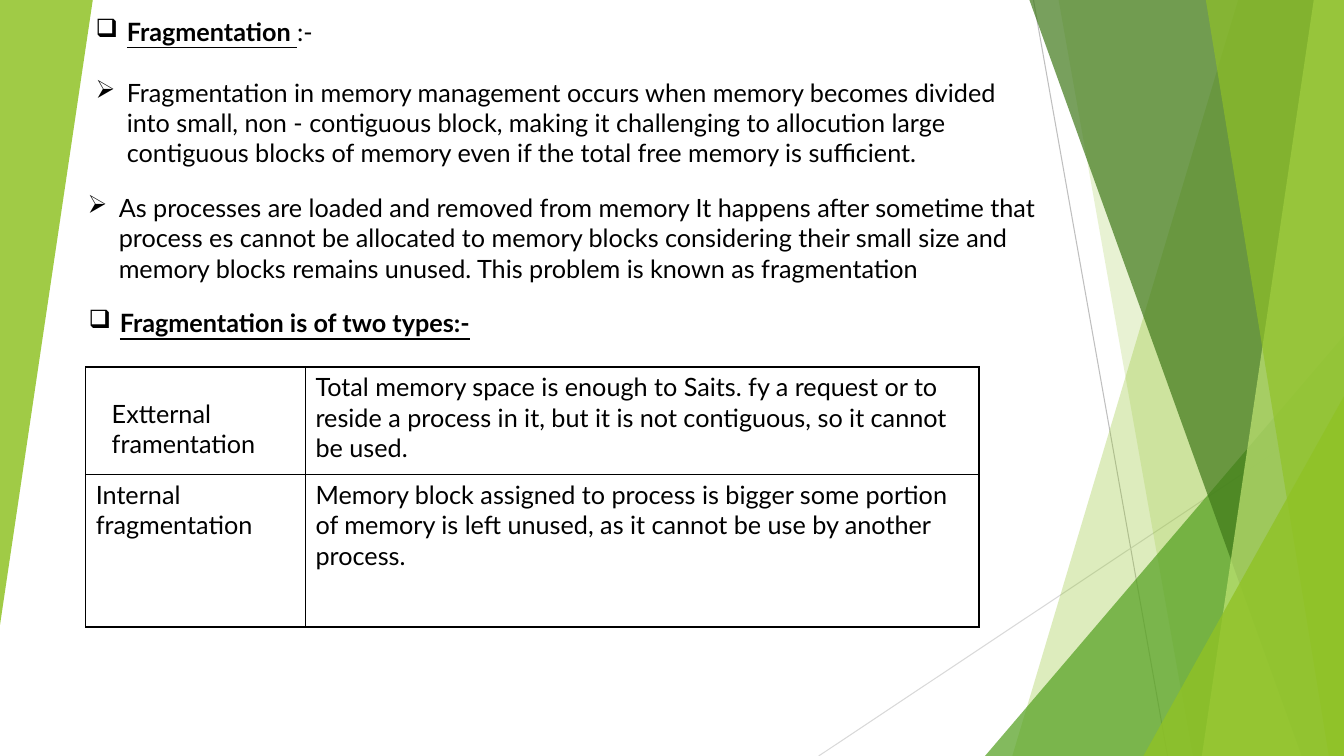
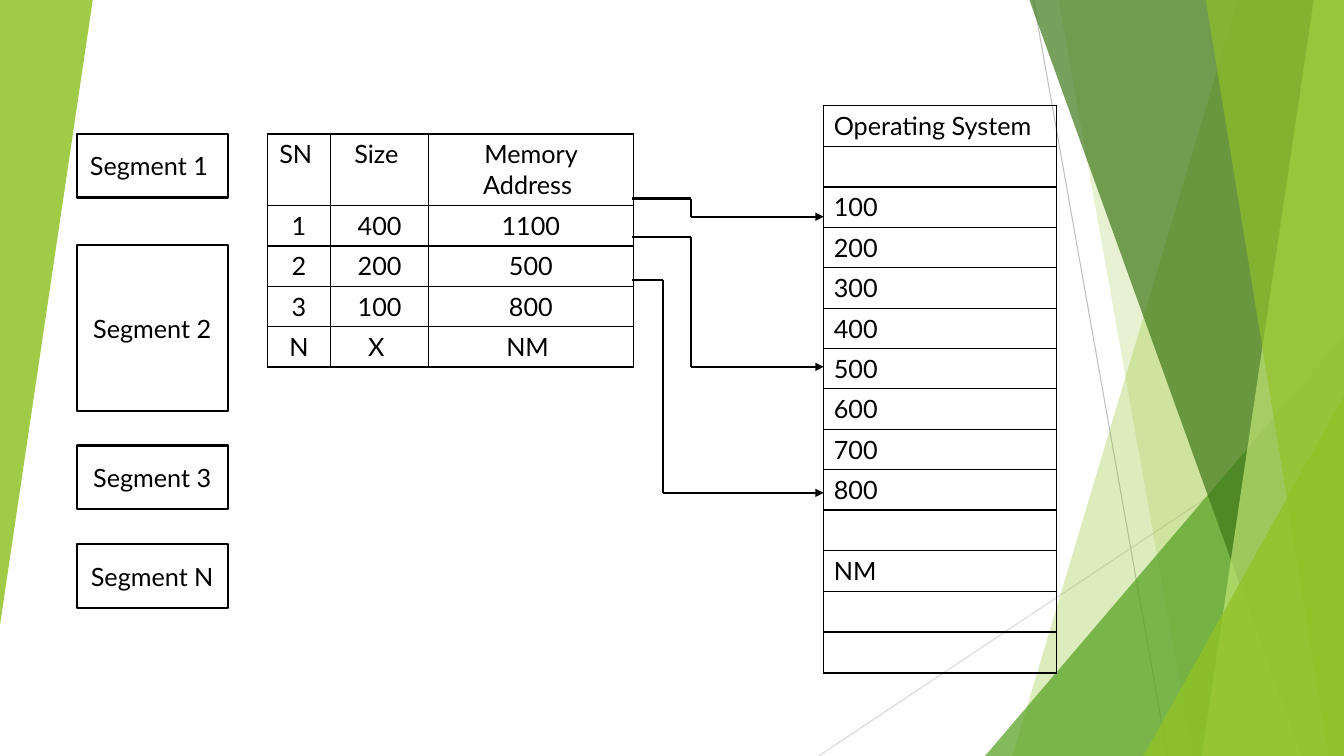
from pptx import Presentation
from pptx.dml.color import RGBColor as RGB
from pptx.enum.shapes import MSO_CONNECTOR as CONN, MSO_SHAPE as SHAPE
from pptx.enum.text import MSO_ANCHOR as ANCHOR, PP_ALIGN as ALIGN
from pptx.oxml.ns import qn
from pptx.util import Pt
from lxml.etree import SubElement, Element

PX = 9144
W, H = 1333, 750
C = {
    "black": "000000", "white": "FFFFFF", "lime": "90C226", "green": "54A021",
    "forest": "3F7819", "pale": "C0E474", "grey": "BFBFBF", "mist": "D9D9D9",
}
BODY = {"name": "Lato", "size": Pt(18), "bold": False, "underline": False}
HEAD = {**BODY, "bold": True, "underline": True}


def write(p, text, fmt=BODY):
    r = p.add_run()
    r.text = text
    for key, value in fmt.items():
        setattr(r.font, key, value)
    r.font.color.rgb = RGB.from_string(C["black"])


def draw_line(s, x1, y1, x2, y2, color, width, arrow=False):
    cn = s.shapes.add_connector(CONN.STRAIGHT, x1 * PX, y1 * PX, x2 * PX, y2 * PX)
    cn.line.color.rgb = RGB.from_string(C[color])
    cn.line.width = Pt(width)
    if arrow:
        SubElement(cn.line._get_or_add_ln(), qn("a:tailEnd"), type="triangle")
    SubElement(cn._element.spPr, qn("a:effectLst"))


prs = Presentation()
prs.slide_width, prs.slide_height = W * PX, H * PX
text_slide, diagram_slide = [prs.slides.add_slide(prs.slide_layouts[6]) for _ in range(2)]

bands = [
    ("free", [(1228, 0), (W, 0), (W, H), (1004, H)], "lime", 30),
    ("free", [(1050, 0), (W, 0), (W, H), (1183, H)], "lime", 20),
    ("triangle", (977, 333, 356, 417, 0), "green", 72),
    ("free", [(1021, 0), (W, 0), (W, H), (1291, H)], "forest", 70),
    ("free", [(1303, 0), (W, 0), (W, H), (1192, H)], "pale", 70),
    ("free", [(1196, 0), (W, 0), (W, H), (1318, H)], "lime", 65),
    ("triangle", (1134, 393, 199, 357, 0), "lime", 80),
    ("triangle", (0, 0, 92, 620, 180), "lime", 85),
]
for s in prs.slides:
    draw_line(s, 1025, 0, 1158, H, "grey", 0.75)
    draw_line(s, W, 403, 812, H, "mist", 0.75)
    for kind, geometry, color, opacity in bands:
        if kind == "free":
            builder = s.shapes.build_freeform(*geometry[0], scale=PX)
            builder.add_line_segments(geometry[1:], close=True)
            sp = builder.convert_to_shape()
        else:
            *box, turn = geometry
            sp = s.shapes.add_shape(SHAPE.ISOSCELES_TRIANGLE, *[v * PX for v in box])
            sp.adjustments[0] = 1
            sp.rotation = turn
        sp.shadow.inherit = False
        sp.fill.solid()
        sp.fill.fore_color.rgb = RGB.from_string(C[color])
        rgb = sp._element.spPr.xpath("./a:solidFill/a:srgbClr")[0]
        SubElement(rgb, qn("a:alpha"), val=str(opacity * 1000))
        sp.line.fill.background()

text_boxes = [
    ((85, 11, 947, 162), [
        ("❑", [("Fragmentation ", HEAD), (":-", BODY)]),
        ("➢", [("Fragmentation in memory management occurs when memory becomes divided "
                "into small, non - contiguous block, making it challenging to allocution "
                "large contiguous blocks of memory even if the total free memory is "
                "sufficient.", BODY)]),
    ]),
    ((77, 186, 997, 101), [
        ("➢", [("As processes are loaded and removed from memory It happens after "
                "sometime that process es cannot be allocated to memory blocks "
                "considering their small size and memory blocks remains unused. This "
                "problem is known as fragmentation", BODY)]),
    ]),
    ((78, 300, 518, 40), [("❑", [("Fragmentation is of two types:-", HEAD)])]),
    ((101, 390, 182, 71), [("", [("Extternal framentation", BODY)])]),
]
for box, paragraphs in text_boxes:
    tf = text_slide.shapes.add_textbox(*[v * PX for v in box]).text_frame
    tf.word_wrap = True
    for i, (bullet, runs) in enumerate(paragraphs):
        p = tf.add_paragraph() if i else tf.paragraphs[0]
        if i:
            p.space_before = Pt(22)
        if bullet:
            pPr = p._p.get_or_add_pPr()
            pPr.set("marL", str(31 * PX))
            pPr.set("indent", str(-31 * PX))
            SubElement(pPr, qn("a:buChar"), char=bullet)
        for text, fmt in runs:
            write(p, text, fmt)

segments = [("1 ", 133, 63), ("2", 243, 165), ("3", 442, 63), ("N", 540, 63)]
for name, top, height in segments:
    sp = diagram_slide.shapes.add_shape(SHAPE.RECTANGLE, 76 * PX, top * PX, 150 * PX, height * PX)
    sp.shadow.inherit = False
    sp.fill.solid()
    sp.fill.fore_color.rgb = RGB.from_string(C["white"])
    sp.line.color.rgb = RGB.from_string(C["black"])
    sp.line.width = Pt(1.5)
    tf = sp.text_frame
    tf.word_wrap = True
    tf.vertical_anchor = ANCHOR.MIDDLE
    p = tf.paragraphs[0]
    p.alignment = ALIGN.CENTER
    write(p, "Segment " + name)

types = [
    ["", "Total memory space is enough to Saits. fy a request or to reside a process in "
         "it, but it is not contiguous, so it cannot be used."],
    ["Internal fragmentation", "Memory block assigned to process is bigger some portion of "
                               "memory is left unused, as it cannot be use by another process."],
]
segment_rows = [
    ["SN ", "Size ", "Memory Address "],
    ["1", "400", "1100"],
    ["2", "200", "500"],
    ["3", "100", "800"],
    ["N", "X ", "NM "],
]
memory = ["Operating System", "", *[str(n) for n in range(100, 900, 100)], "", "NM", "", ""]
tables = [
    (text_slide, 85, 364, [218, 668], [107, 151], types, ALIGN.LEFT),
    (diagram_slide, 265, 133, [63, 97, 203], [71] + [40] * 4, segment_rows, ALIGN.CENTER),
    (diagram_slide, 817, 105, [231], [40] * 14, [[m] for m in memory], ALIGN.LEFT),
]
for s, left, top, widths, heights, rows, align in tables:
    frame = s.shapes.add_table(len(rows), len(widths), left * PX, top * PX,
                               sum(widths) * PX, sum(heights) * PX)
    tbl = frame.table
    tbl.first_row = tbl.horz_banding = False
    for column, width in zip(tbl.columns, widths):
        column.width = width * PX
    for row, height, texts in zip(tbl.rows, heights, rows):
        row.height = height * PX
        for cell, text in zip(row.cells, texts):
            cell.fill.background()
            tcPr = cell._tc.get_or_add_tcPr()
            for i, side in enumerate(["lnL", "lnR", "lnT", "lnB"]):
                ln = Element(qn("a:" + side), w=str(Pt(1)))
                SubElement(SubElement(ln, qn("a:solidFill")), qn("a:srgbClr"), val=C["black"])
                tcPr.insert(i, ln)
            if text:
                p = cell.text_frame.paragraphs[0]
                p.alignment = align
                write(p, text)

routes = [(197, 685, 215), (235, 685, 364), (278, 658, 489)]
for start, bend, end in routes:
    draw_line(diagram_slide, 627, start, bend, start, "black", 1.5)
    draw_line(diagram_slide, bend, start, bend, end, "black", 1.5)
    draw_line(diagram_slide, bend, end, 817, end, "black", 1.5, arrow=True)

prs.save("out.pptx")
